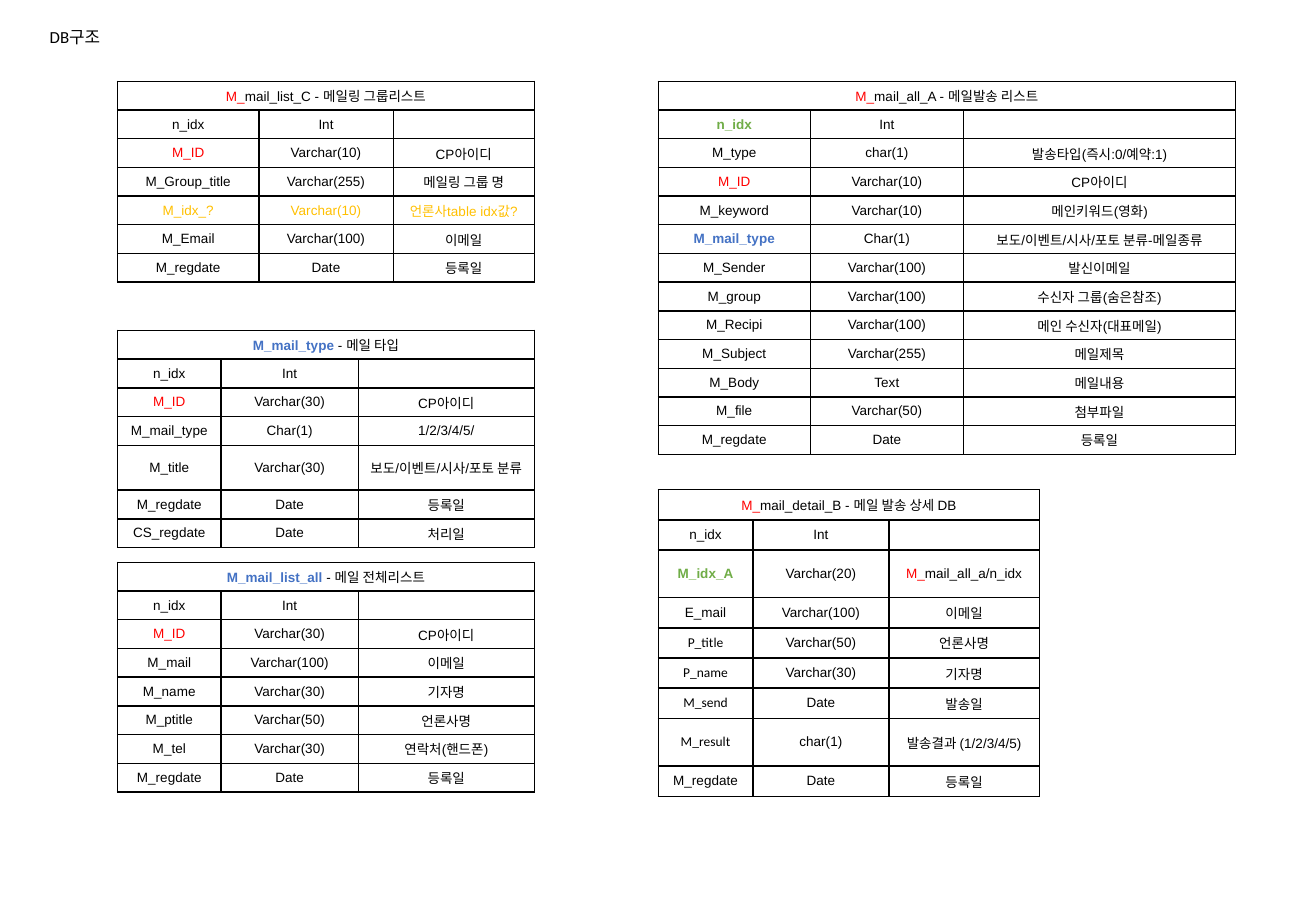
from dataclasses import dataclass

from lxml import etree
from pptx import Presentation
from pptx.dml.color import RGBColor
from pptx.enum.text import MSO_ANCHOR, MSO_AUTO_SIZE, PP_ALIGN
from pptx.oxml.ns import qn
from pptx.util import Cm, Pt

CENTER = PP_ALIGN.CENTER
MIDDLE = MSO_ANCHOR.MIDDLE
FIT_SHAPE = MSO_AUTO_SIZE.SHAPE_TO_FIT_TEXT

BLACK = RGBColor(0x00, 0x00, 0x00)
RED = RGBColor(0xFF, 0x00, 0x00)
GREEN = RGBColor(0x70, 0xAD, 0x47)
BLUE = RGBColor(0x44, 0x72, 0xC4)
GOLD = RGBColor(0xFF, 0xC0, 0x00)

ARIAL = "Arial"
CALIBRI = "Calibri"
HEADING_SIZE = Pt(10)
CELL_SIZE = Pt(8)
BORDER_WIDTH = Pt(1)
ROW = 0.6
DETAIL_ROW = 0.63
LEFT_COLUMN = 2.46
RIGHT_COLUMN = 13.76


@dataclass
class Span:
    text: str
    color: RGBColor = BLACK
    bold: bool = False
    font: str = ARIAL


@dataclass
class Schema:
    left: float
    top: float
    widths: tuple
    title: tuple
    fields: list
    row_height: float = ROW
    tall_rows: tuple = ()
    tall_height: float = ROW


PREFIX = Span("M_", RED)
OWNER = Span("M_ID", RED)
INDEX = ("n_idx", "Int", "")
REGISTERED = ("M_regdate", "Date", "등록일")
NARROW_WIDTHS = (2.16, 2.87, 3.68)

SCHEMAS = [
    Schema(
        RIGHT_COLUMN, 1.7, (3.18, 3.2, 5.69),
        (PREFIX, Span("mail_all_A - 메일발송 리스트")),
        [
            (Span("n_idx", GREEN, True), "Int", ""),
            ("M_type", "char(1)", "발송타입(즉시:0/예약:1)"),
            (OWNER, "Varchar(10)", "CP아이디"),
            ("M_keyword", "Varchar(10)", "메인키워드(영화)"),
            (Span("M_mail_type", BLUE, True), "Char(1)",
             "보도/이벤트/시사/포토 분류-메일종류"),
            ("M_Sender", "Varchar(100)", "발신이메일"),
            ("M_group", "Varchar(100)", "수신자 그룹(숨은참조)"),
            ("M_Recipi", "Varchar(100)", "메인 수신자(대표메일)"),
            ("M_Subject", "Varchar(255)", "메일제목"),
            ("M_Body", "Text", "메일내용"),
            ("M_file", "Varchar(50)", "첨부파일"),
            REGISTERED,
        ],
    ),
    Schema(
        RIGHT_COLUMN, 10.24, (1.98, 2.84, 3.15),
        (PREFIX, Span("mail_detail_B - 메일 발송 상세 DB")),
        [
            INDEX,
            (Span("M_idx_A", GREEN, True), "Varchar(20)",
             (PREFIX, Span("mail_all_a/n_idx"))),
            ("E_mail", "Varchar(100)", "이메일"),
            (Span("P_title", font=CALIBRI), "Varchar(50)", "언론사명"),
            (Span("P_name", font=CALIBRI), "Varchar(30)", "기자명"),
            (Span("M_send", font=CALIBRI), "Date", "발송일"),
            (Span("M_result", font=CALIBRI), "char(1)", "발송결과 (1/2/3/4/5)"),
            REGISTERED,
        ],
        DETAIL_ROW, (2, 7), 1.0,
    ),
    Schema(
        LEFT_COLUMN, 1.7, (2.95, 2.81, 2.95),
        (PREFIX, Span("mail_list_C - 메일링 그룹리스트")),
        [
            INDEX,
            (OWNER, "Varchar(10)", "CP아이디"),
            ("M_Group_title", "Varchar(255)", "메일링 그룹 명"),
            (Span("M_idx_?", GOLD), Span("Varchar(10)", GOLD),
             Span("언론사table idx값?", GOLD)),
            ("M_Email", "Varchar(100)", "이메일"),
            REGISTERED,
        ],
    ),
    Schema(
        LEFT_COLUMN, 6.91, NARROW_WIDTHS,
        (Span("M_mail_type", BLUE, True), Span(" - 메일 타입")),
        [
            INDEX,
            (OWNER, "Varchar(30)", "CP아이디"),
            ("M_mail_type", "Char(1)", "1/2/3/4/5/"),
            ("M_title", "Varchar(30)", "보도/이벤트/시사/포토 분류"),
            REGISTERED,
            ("CS_regdate", "Date", "처리일"),
        ],
        tall_rows=(4,), tall_height=0.94,
    ),
    Schema(
        LEFT_COLUMN, 11.76, NARROW_WIDTHS,
        (Span("M_mail_list_all", BLUE, True), Span(" - 메일 전체리스트")),
        [
            INDEX,
            (OWNER, "Varchar(30)", "CP아이디"),
            ("M_mail", "Varchar(100)", "이메일"),
            ("M_name", "Varchar(30)", "기자명"),
            ("M_ptitle", "Varchar(50)", "언론사명"),
            ("M_tel", "Varchar(30)", "연락처(핸드폰)"),
            REGISTERED,
        ],
    ),
]


def as_spans(content):
    if isinstance(content, tuple):
        return content
    if isinstance(content, Span):
        return (content,)
    return (Span(content),) if content else ()


def add_span(para, span, size):
    run = para.add_run()
    run.text = span.text
    run.font.size = size
    run.font.name = span.font
    run.font.bold = span.bold
    run.font.color.rgb = span.color


def add_heading(page):
    box = page.shapes.add_textbox(Cm(0.79), Cm(0.43), Cm(1.65), Cm(0.69))
    box.text_frame.word_wrap = False
    box.text_frame.auto_size = FIT_SHAPE
    add_span(box.text_frame.paragraphs[0], Span("DB구조", font=CALIBRI), HEADING_SIZE)


def set_borders(cell):
    properties = cell._tc.get_or_add_tcPr()
    for side in ("a:lnL", "a:lnR", "a:lnT", "a:lnB"):
        line = etree.SubElement(properties, qn(side), w=str(BORDER_WIDTH))
        fill = etree.SubElement(line, qn("a:solidFill"))
        etree.SubElement(fill, qn("a:srgbClr"), val=str(BLACK))


def fill_cell(cell, content):
    set_borders(cell)
    cell.fill.background()
    cell.vertical_anchor = MIDDLE
    cell.margin_left = cell.margin_right = Cm(0.13)
    cell.margin_top = cell.margin_bottom = Cm(0.06)
    para = cell.text_frame.paragraphs[0]
    para.alignment = CENTER
    for span in as_spans(content):
        add_span(para, span, CELL_SIZE)
    etree.SubElement(para._p, qn("a:endParaRPr"), sz=str(int(CELL_SIZE.pt * 100)))


def add_schema(page, schema):
    records = [(schema.title, "", "")] + schema.fields
    heights = [schema.tall_height if index in schema.tall_rows else schema.row_height
               for index in range(len(records))]
    table = page.shapes.add_table(
        len(records), len(schema.widths), Cm(schema.left), Cm(schema.top),
        Cm(sum(schema.widths)), Cm(sum(heights))).table
    table.first_row = False
    table.horz_banding = False
    for column, width in zip(table.columns, schema.widths):
        column.width = Cm(width)
    for row, height, record in zip(table.rows, heights, records):
        row.height = Cm(height)
        for cell, content in zip(row.cells, record):
            fill_cell(cell, content)
    table.cell(0, 0).merge(table.cell(0, len(schema.widths) - 1))


def main():
    deck = Presentation()
    deck.slide_width = Cm(27.51)
    deck.slide_height = Cm(19.05)
    page = deck.slides.add_slide(deck.slide_layouts[6])
    add_heading(page)
    for schema in SCHEMAS:
        add_schema(page, schema)
    deck.save("out.pptx")


if __name__ == "__main__":
    main()
